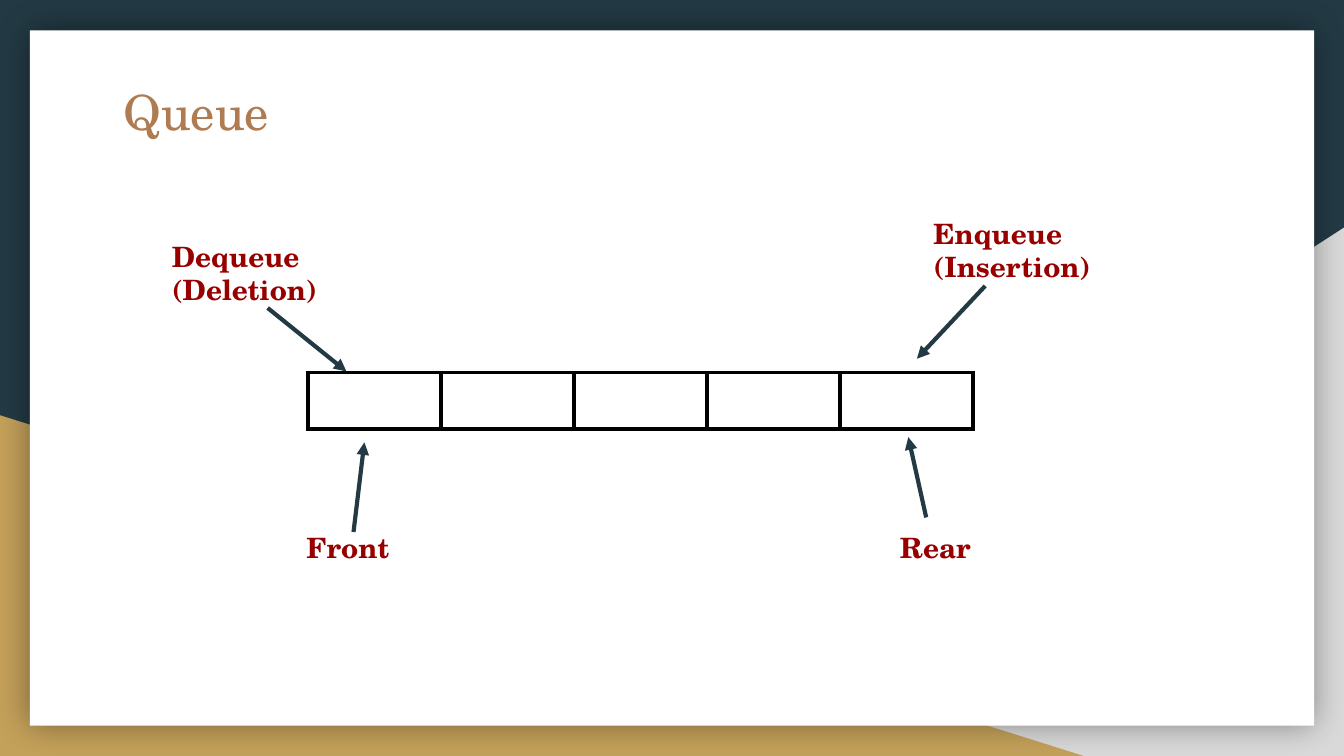
from lxml.etree import SubElement
from pptx import Presentation
from pptx.dml.color import RGBColor
from pptx.enum.shapes import MSO_CONNECTOR, MSO_SHAPE
from pptx.oxml import parse_xml
from pptx.oxml.ns import nsdecls, qn
from pptx.util import Pt

FONT = "TeX Gyre Schola"
NAVY, GOLD, GREY, WHITE = "233A44", "C4A15A", "D9D9D9", "FFFFFF"
BROWN, RED, BLACK = "AF7B51", "980000", "000000"


def paint(item, tint):
    item.solid()
    item.fore_color.rgb = RGBColor.from_string(tint)


def panel(slide, kind, box, tint, flip=False):
    shape = slide.shapes.add_shape(kind, *map(Pt, box))
    shape.shadow.inherit = False
    paint(shape.fill, tint)
    shape.line.fill.background()
    if flip:
        shape._element.spPr.find(qn("a:xfrm")).set("flipH", "1")
    return shape


def shade(shape, blur, alpha):
    effect = shape._element.spPr.find(qn("a:effectLst"))
    effect.append(parse_xml(
        f'<a:outerShdw {nsdecls("a")} blurRad="{Pt(blur)}" dist="0" '
        f'algn="ctr" rotWithShape="0"><a:srgbClr val="{BLACK}">'
        f'<a:alpha val="{alpha * 1000}"/></a:srgbClr></a:outerShdw>'))


def write(slide, lines, box, size=15, tint=RED, bold=True):
    frame = slide.shapes.add_textbox(*map(Pt, box)).text_frame
    frame.word_wrap = True
    frame.margin_left = frame.margin_right = Pt(7.2)
    frame.margin_top = frame.margin_bottom = Pt(7.2)
    frame.text = "\n".join(lines)
    for para in frame.paragraphs:
        font = para.runs[0].font
        font.name, font.size, font.bold = FONT, Pt(size), bold
        font.color.rgb = RGBColor.from_string(tint)


def arrow(slide, start, end):
    link = slide.shapes.add_connector(
        MSO_CONNECTOR.STRAIGHT, *map(Pt, start + end))
    link.line.width = Pt(2.25)
    paint(link.line.fill, NAVY)
    SubElement(link.line._get_or_add_ln(), qn("a:tailEnd"), type="triangle")
    SubElement(link._element.spPr, qn("a:effectLst"))


def edge(cell):
    props = cell._tc.get_or_add_tcPr()
    for place, side in enumerate("LRTB"):
        props.insert(place, parse_xml(
            f'<a:ln{side} {nsdecls("a")} w="{Pt(2.25)}"><a:solidFill>'
            f'<a:srgbClr val="{BLACK}"/></a:solidFill></a:ln{side}>'))


def queue(slide, left, top, wide, high, count):
    table = slide.shapes.add_table(
        1, count, Pt(left), Pt(top), Pt(wide * count), Pt(high)).table
    table.first_row = table.horz_banding = False
    for col in table.columns:
        col.width = Pt(wide)
    for cell in table.iter_cells():
        cell.margin_top = cell.margin_bottom = 0
        paint(cell.fill, WHITE)
        edge(cell)


def main():
    deck = Presentation()
    deck.slide_width, deck.slide_height = Pt(720), Pt(405)
    slide = deck.slides.add_slide(deck.slide_layouts[6])
    paint(slide.background.fill, NAVY)

    wedge = MSO_SHAPE.RIGHT_TRIANGLE
    panel(slide, wedge, (282, 122, 438, 283), GREY, flip=True)
    panel(slide, wedge, (0, 222.5, 580.5, 182.5), GOLD)
    card = panel(slide, MSO_SHAPE.RECTANGLE, (16, 16.2, 688, 372.5), WHITE)
    shade(card, 18, 40)

    write(slide, ["Queue"], (59, 36.7, 589, 39.6),
          size=26, tint=BROWN, bold=False)
    queue(slide, 165, 199.5, 71.25, 30.2, 5)

    labels = [
        (["Dequeue", "(Deletion)"], 85, 121, 109),
        (["Enqueue", "(Insertion)"], 493, 108.7, 132),
        (["Front"], 157, 277, 109),
        (["Rear"], 475, 277, 109),
    ]
    for lines, left, top, wide in labels:
        write(slide, lines, (left, top, wide, 26))

    arrows = [
        ((527.8, 153.2), (491.2, 192.2)),
        ((143.4, 165), (185.6, 199)),
        ((189.4, 285), (195.2, 237)),
        ((496.2, 277.2), (486.6, 234.2)),
    ]
    for start, end in arrows:
        arrow(slide, start, end)

    deck.save("out.pptx")


if __name__ == "__main__":
    main()
